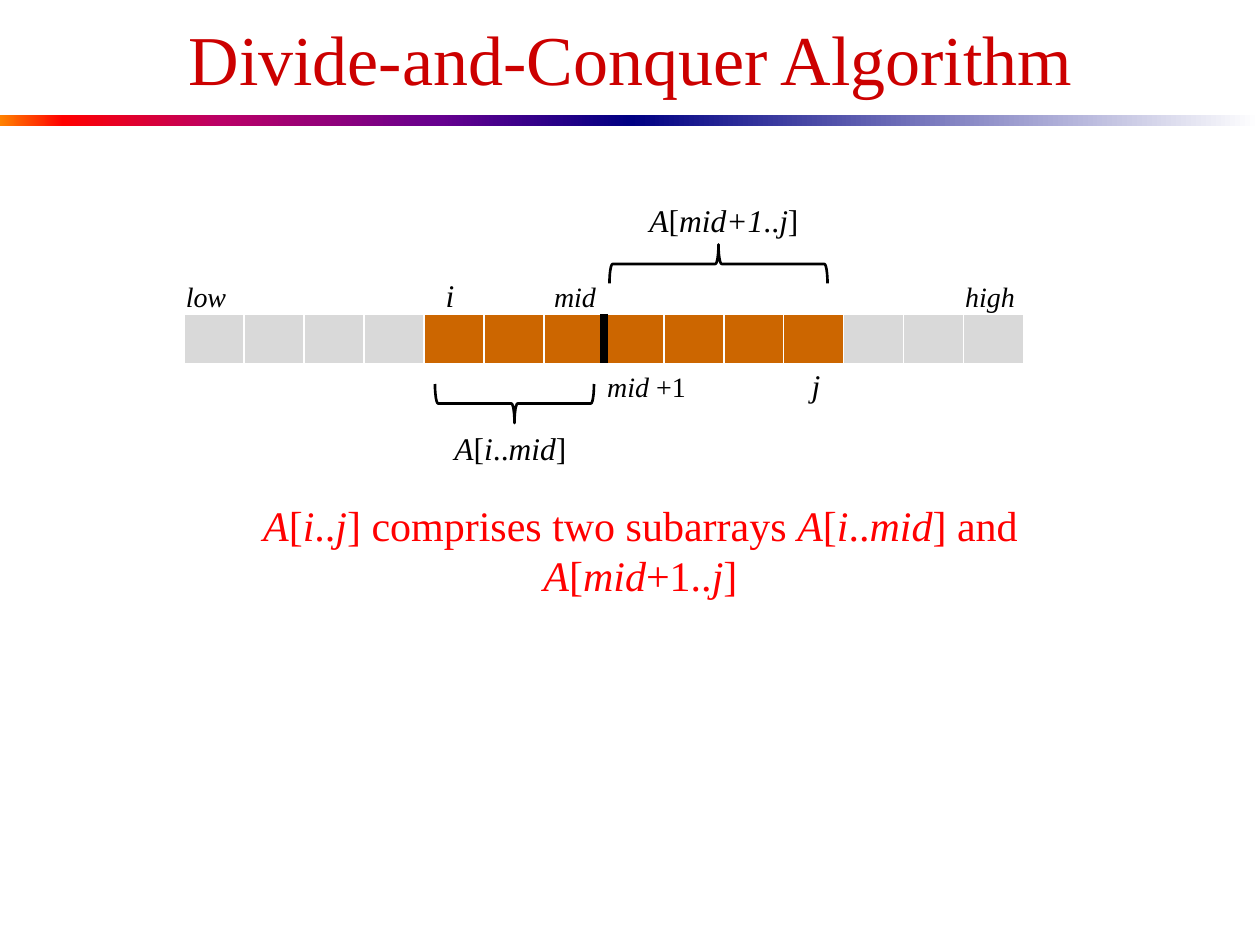
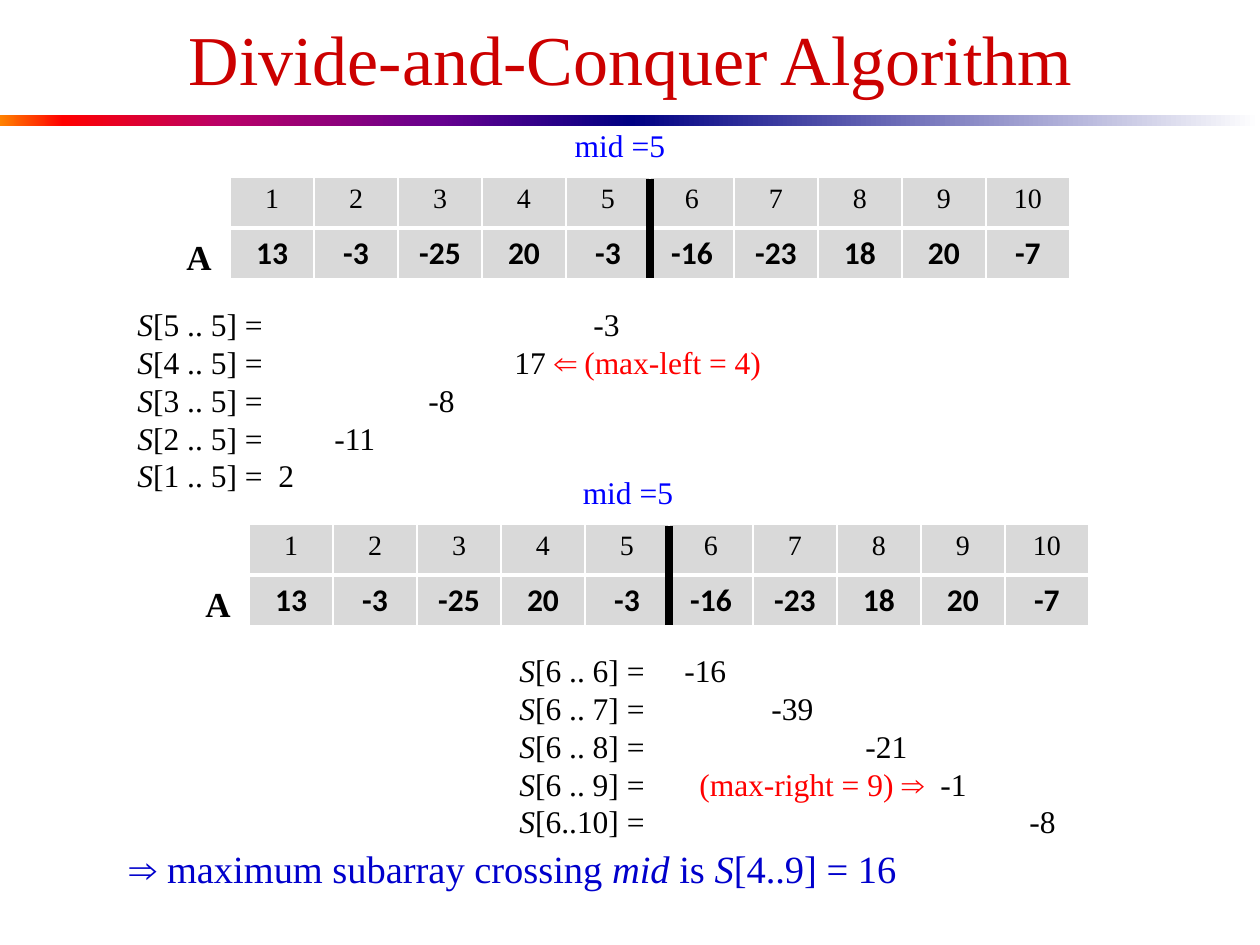
from dataclasses import dataclass
from typing import NamedTuple

from lxml.etree import SubElement
from pptx import Presentation
from pptx.dml.color import RGBColor as RGB
from pptx.enum.shapes import MSO_CONNECTOR as CONN, MSO_SHAPE as SHAPE
from pptx.enum.text import MSO_ANCHOR as ANCHOR, PP_ALIGN as ALIGN
from pptx.oxml.ns import qn
from pptx.slide import Slide
from pptx.table import _Cell as Cell
from pptx.util import Emu, Pt

PX_PER_INCH = 126


def px(n: int) -> Emu:
    return Emu(round(n * 914400 / PX_PER_INCH))


@dataclass(frozen=True)
class Theme:
    serif: str = "Times New Roman"
    sans: str = "Calibri"
    black: str = "000000"
    white: str = "FFFFFF"
    title: str = "CC0000"
    red: str = "FF0000"
    blue: str = "0000FF"
    result: str = "0000CC"
    grey: str = "D9D9D9"
    active: str = "CC6600"
    title_pt: int = 40
    claim_pt: int = 24
    result_pt: int = 22
    name_pt: int = 20
    body_pt: int = 18
    small_pt: int = 16
    thin_pt: int = 1
    rule_pt: int = 3
    bar_pt: float = 4.5
    brace_pt: float = 1.5


T = Theme()


class Run(NamedTuple):
    text: str
    italic: bool = False
    color: str = T.black
    size: int = T.body_pt
    bold: bool = False
    font: str = T.serif


class Box(NamedTuple):
    x: int
    y: int
    w: int
    h: int


class Line(NamedTuple):
    runs: list[Run]
    tabs: tuple[int, ...] = ()


class Label(NamedTuple):
    box: Box
    runs: list[Run]


class Brace(NamedTuple):
    box: Box
    rotation: int


class Band(NamedTuple):
    x: int
    stops: tuple[tuple[int, str], ...]


@dataclass(frozen=True)
class Panel:
    x: int
    y: int
    mid_x: int
    sums: Box
    lines: list[Line]


def alternate(*texts: str, color: str = T.black, size: int = T.body_pt) -> list[Run]:
    return [Run(t, i % 2 == 0, color, size) for i, t in enumerate(texts)]


BANDS = [
    Band(0, ((0, "FF8200"), (10, "FF0000"), (35, "BA0066"), (70, "66008F"), (100, "000082"))),
    Band(630, ((0, "000082"), (100, T.white))),
]
BAND_Y, BAND_W, BAND_H = 115, 630, 11
TITLE = Label(Box(95, 9, 1071, 92), [Run("Divide-and-Conquer Algorithm", color=T.title, size=T.title_pt)])
ROW_H = 51

STRIP_X, STRIP_Y, STRIP_COL = 184, 314, 60
STRIP_FILLS = [T.grey] * 4 + [T.active] * 7 + [T.grey] * 3
STRIP_LABELS = [
    Label(Box(156, 273, 100, 47), alternate("low", size=T.small_pt)),
    Label(Box(525, 273, 100, 47), alternate("mid", size=T.small_pt)),
    Label(Box(940, 273, 100, 47), alternate("high", size=T.small_pt)),
    Label(Box(572, 363, 149, 47), alternate("mid ", "+1", size=T.small_pt)),
    Label(Box(433, 270, 34, 50), alternate("i")),
    Label(Box(799, 360, 34, 50), alternate("j")),
    Label(Box(441, 423, 139, 50), alternate("A", "[", "i", "..", "mid", "]")),
    Label(Box(600, 195, 248, 50), alternate("A", "[", "mid+1", "..", "j", "]")),
    Label(Box(154, 493, 973, 63), alternate(
        "A", "[", "i", "..", "j", "] comprises two subarrays ", "A", "[", "i", "..", "mid",
        "] and ", "A", "[", "mid", "+1..", "j", "]", color=T.red, size=T.claim_pt)),
]
BRACES = [Brace(Box(699, 155, 39, 218), 90), Brace(Box(495, 324, 39, 159), 270)]

VALUES = [13, -3, -25, 20, -3, -16, -23, 18, 20, -7]
ARRAY_COL = 84
PANELS = [
    Panel(230, 177, 620, Box(125, 299, 694, 237), [
        Line(alternate("S", "[5 .. 5] =\t-3"), (456,)),
        Line(alternate("S", "[4 .. 5] =\t17 ") + [Run("⇐ (max-left = 4)", color=T.red)], (377,)),
        Line(alternate("S", "[3 .. 5] =\t-8"), (291,)),
        Line(alternate("S", "[2 .. 5] =\t-11"), (197,)),
        Line(alternate("S", "[1 .. 5] =\t2"), (141,)),
    ]),
    Panel(249, 524, 628, Box(507, 645, 630, 242), [
        Line(alternate("S", "[6 .. 6] =\t-16"), (165,)),
        Line(alternate("S", "[6 .. 7] =\t-39"), (252,)),
        Line(alternate("S", "[6 .. 8] =\t-21"), (346,)),
        Line(alternate("S", "[6 .. 9] =\t")
             + [Run("(max-right = 9) ⇒", color=T.red), Run("\t-1")], (180, 421)),
        Line(alternate("S", "[6..10] =\t-8"), (510,)),
    ]),
]
RESULT = Label(Box(50, 839, 926, 59), [Run("⇒ maximum subarray crossing ", color=T.result, size=T.result_pt)]
               + alternate("mid", " is ", "S", "[4..9] = 16", color=T.result, size=T.result_pt))


def add_runs(p, runs: list[Run]) -> None:
    for run in runs:
        r = p.add_run()
        r.text = run.text
        f = r.font
        f.name, f.size, f.bold, f.italic = run.font, Pt(run.size), run.bold, run.italic
        f.color.rgb = RGB.from_string(run.color)


def add_text(s: Slide, box: Box, lines: list[Line], align: ALIGN = ALIGN.LEFT) -> None:
    tf = s.shapes.add_textbox(*map(px, box)).text_frame
    tf.word_wrap = True
    tf.vertical_anchor = ANCHOR.TOP
    for i, line in enumerate(lines):
        p = tf.add_paragraph() if i else tf.paragraphs[0]
        p.alignment = align
        if line.tabs:
            tabs = SubElement(p._p.get_or_add_pPr(), qn("a:tabLst"))
            for stop in line.tabs:
                SubElement(tabs, qn("a:tab"), pos=str(px(stop)), algn="l")
        add_runs(p, line.runs)


def add_label(s: Slide, label: Label) -> None:
    add_text(s, label.box, [Line(label.runs)], ALIGN.CENTER)


def add_band(s: Slide, band: Band) -> None:
    sp = s.shapes.add_shape(SHAPE.RECTANGLE, px(band.x), px(BAND_Y), px(BAND_W), px(BAND_H))
    sp.shadow.inherit = False
    sp.line.fill.background()
    sp.fill.gradient()
    sp.fill.gradient_angle = 0
    stops = sp._element.spPr.find(".//" + qn("a:gsLst"))
    stops.clear()
    for percent, color in band.stops:
        gs = SubElement(stops, qn("a:gs"), pos=str(percent * 1000))
        SubElement(gs, qn("a:srgbClr"), val=color)


def add_brace(s: Slide, brace: Brace) -> None:
    sp = s.shapes.add_shape(SHAPE.LEFT_BRACE, *map(px, brace.box))
    sp.shadow.inherit = False
    sp.rotation = brace.rotation
    sp.adjustments[0], sp.adjustments[1] = 0.08, 0.5
    sp.fill.background()
    sp.line.color.rgb = RGB.from_string(T.black)
    sp.line.width = Pt(T.brace_pt)


def add_bar(s: Slide, x: int, top: int, bottom: int) -> None:
    c = s.shapes.add_connector(CONN.STRAIGHT, px(x), px(top), px(x), px(bottom))
    c.line.color.rgb = RGB.from_string(T.black)
    c.line.width = Pt(T.bar_pt)
    SubElement(c._element.spPr, qn("a:effectLst"))


def style_cell(cell: Cell, fill: str, top_pt: int, bottom_pt: int) -> None:
    pr = cell._tc.get_or_add_tcPr()
    for side, width in zip("LRTB", (T.thin_pt, T.thin_pt, top_pt, bottom_pt)):
        ln = SubElement(pr, qn(f"a:ln{side}"), w=str(Pt(width)))
        SubElement(SubElement(ln, qn("a:solidFill")), qn("a:srgbClr"), val=T.white)
    cell.fill.solid()
    cell.fill.fore_color.rgb = RGB.from_string(fill)


def add_grid(s: Slide, x: int, y: int, col_w: int, fills: list[str], rows: list[list[Run]]) -> None:
    n = len(fills)
    table = s.shapes.add_table(len(rows), n, px(x), px(y), px(col_w * n), px(ROW_H * len(rows))).table
    table.first_row = table.horz_banding = False
    for column in table.columns:
        column.width = px(col_w)
    for i, row in enumerate(rows):
        top, bottom = (T.rule_pt, T.thin_pt) if i else (T.thin_pt, T.rule_pt)
        for j, fill in enumerate(fills):
            cell = table.cell(i, j)
            style_cell(cell, fill, top, bottom)
            if row:
                p = cell.text_frame.paragraphs[0]
                p.alignment = ALIGN.CENTER
                add_runs(p, [row[j]])


def add_panel(s: Slide, panel: Panel) -> None:
    x, y = panel.x, panel.y
    indexes = [Run(str(i + 1), size=T.small_pt) for i in range(len(VALUES))]
    values = [Run(str(v), bold=True, font=T.sans) for v in VALUES]
    add_grid(s, x, y, ARRAY_COL, [T.grey] * len(VALUES), [indexes, values])
    add_label(s, Label(Box(x - 57, y + 52, 52, 55), [Run("A", size=T.name_pt, bold=True)]))
    add_text(s, panel.sums, panel.lines)
    add_bar(s, x + 5 * ARRAY_COL, y + 2, y + 101)
    add_label(s, Label(Box(panel.mid_x - 70, y - 57, 140, 50), [Run("mid =5", color=T.blue)]))


def add_base(prs) -> Slide:
    s = prs.slides.add_slide(prs.slide_layouts[6])
    s.background.fill.solid()
    s.background.fill.fore_color.rgb = RGB.from_string(T.white)
    for band in BANDS:
        add_band(s, band)
    add_label(s, TITLE)
    return s


def build_split(prs) -> None:
    s = add_base(prs)
    add_grid(s, STRIP_X, STRIP_Y, STRIP_COL, STRIP_FILLS, [[]])
    add_bar(s, STRIP_X + 7 * STRIP_COL, STRIP_Y, STRIP_Y + 49)
    for label in STRIP_LABELS:
        add_label(s, label)
    for brace in BRACES:
        add_brace(s, brace)


def build_crossing(prs) -> None:
    s = add_base(prs)
    for panel in PANELS:
        add_panel(s, panel)
    add_label(s, RESULT)


def main() -> None:
    prs = Presentation()
    prs.slide_width, prs.slide_height = px(1260), px(945)
    build_split(prs)
    build_crossing(prs)
    prs.save("out.pptx")


if __name__ == "__main__":
    main()
